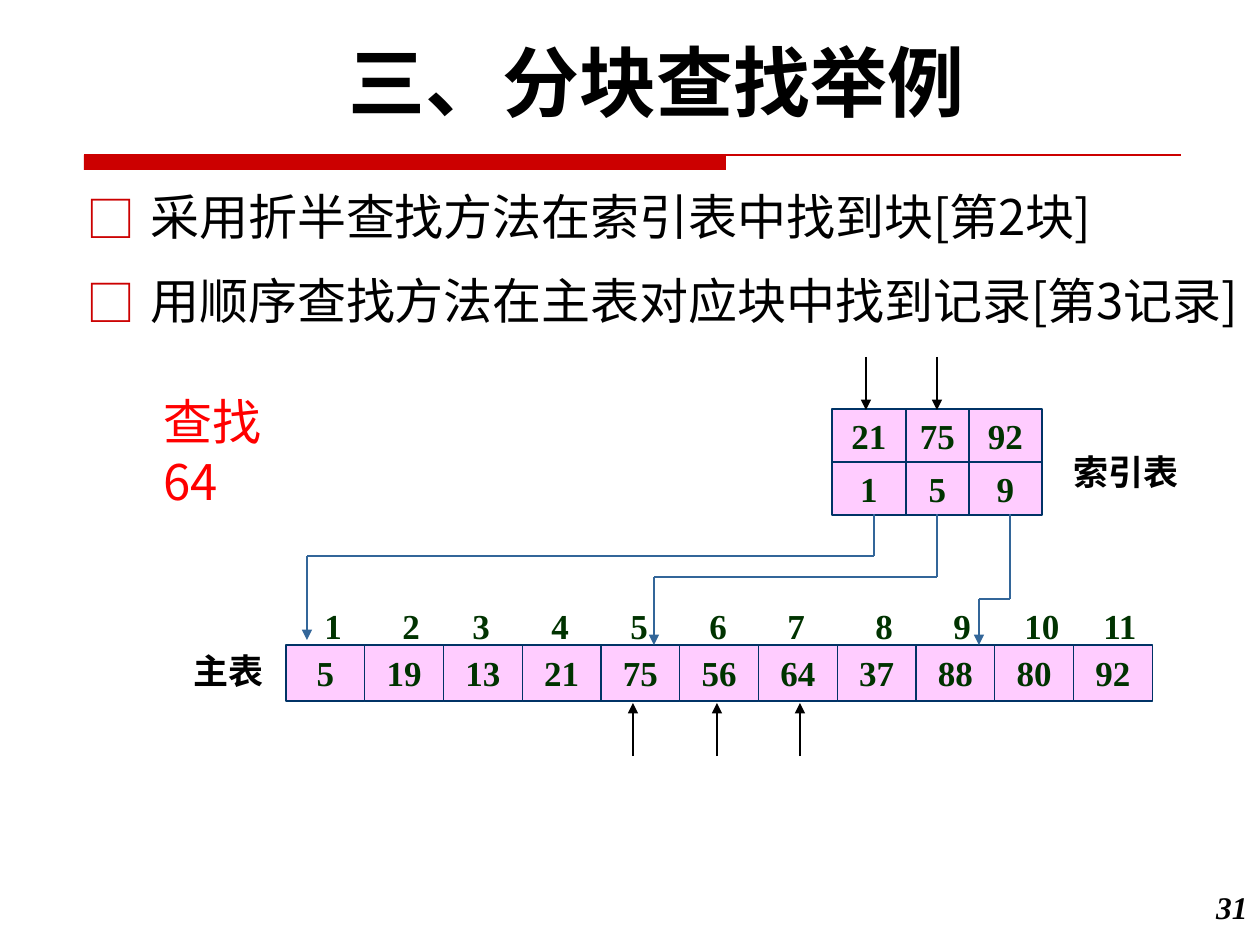
from lxml import etree
from pptx import Presentation
from pptx.dml.color import RGBColor
from pptx.enum.shapes import MSO_CONNECTOR, MSO_SHAPE
from pptx.enum.text import MSO_ANCHOR, PP_ALIGN
from pptx.oxml.ns import qn
from pptx.util import Inches, Pt

RECT = MSO_SHAPE.RECTANGLE
LINE = MSO_CONNECTOR.STRAIGHT
LEFT, MID, RIGHT = PP_ALIGN.LEFT, PP_ALIGN.CENTER, PP_ALIGN.RIGHT
PX = 914400 / 126
TIMES, NOTO = "Times New Roman", "Noto Sans CJK SC"
RED, GREEN, BLUE = "CC0000", "003300", "336699"

prs = Presentation()
prs.slide_width, prs.slide_height = Inches(10), Inches(7.5)
slide = prs.slides.add_slide(prs.slide_layouts[6])
shapes = slide.shapes


def rgb(code):
    return RGBColor.from_string(code)


def px(*nums):
    return [round(n * PX) for n in nums]


# Thick and thin title rule
bar = shapes.add_shape(RECT, *px(84, 155, 642, 15))
bar.shadow.inherit = False
bar.fill.solid()
bar.fill.fore_color.rgb = rgb(RED)
bar.line.fill.background()

# Text: box, wording, size, font, colour, bold, alignment, Chinese or not
texts = [
    ((74, 20, 1166, 106), "三、分块查找举例", 44, "Roboto", "000000", True, MID, True),
    ((74, 175, 1207, 557),
     "采用折半查找方法在索引表中找到块[第2块]\n用顺序查找方法在主表对应块中找到记录[第3记录]",
     28, NOTO, "000000", False, LEFT, True),
    ((151, 380, 175, 72), "查找64", 28, NOTO, "FF0000", False, LEFT, True),
    ((181, 640, 105, 54), "主表", 20, TIMES, "000000", True, LEFT, True),
    ((1051, 441, 150, 54), "索引表", 20, TIMES, "000000", True, MID, True),
    ((312, 598, 882, 54), "\t".join(str(n) for n in range(1, 12)),
     20, TIMES, GREEN, True, LEFT, False),
    ((1176, 882, 84, 63), "31", 18, TIMES, "000000", True, RIGHT, False),
]
frames = []
for area, words, size, face, color, bold, align, han in texts:
    frame = shapes.add_textbox(*px(*area)).text_frame
    frame.word_wrap = True
    frame.text = words
    if han:
        frame.margin_top = Inches(0.05) + Pt(size / 10)
    for para in frame.paragraphs:
        para.alignment = align
        if han:
            para.line_spacing = Pt(round(size * 1.2))
        for run in para.runs:
            run.font.size, run.font.name, run.font.bold = Pt(size), face, bold
            run.font.color.rgb = rgb(color)
            if han:
                etree.SubElement(run._r.rPr, qn("a:ea"), typeface=NOTO)
    frames.append(frame)
frames[4].margin_left = frames[4].margin_right = 0
frames[6].paragraphs[0].runs[0].font.italic = True

# Square bullets
frames[1].paragraphs[1].space_before = Pt(14)
for para in frames[1].paragraphs:
    props = para._p.get_or_add_pPr()
    indent = px(64)[0]
    props.set("marL", str(indent))
    props.set("indent", str(-indent))
    tint = etree.SubElement(props, qn("a:buClr"))
    etree.SubElement(tint, qn("a:srgbClr"), val=RED)
    etree.SubElement(props, qn("a:buFont"), typeface=NOTO)
    etree.SubElement(props, qn("a:buChar"), char="□")

# Tab stops for the position numbers
tabs = etree.SubElement(frames[5].paragraphs[0]._p.get_or_add_pPr(), qn("a:tabLst"))
for stop in px(78, 148, 227, 306, 385, 463, 551, 629, 700, 779):
    etree.SubElement(tabs, qn("a:tab"), pos=str(stop), algn="l")

# Cells of the main table and the index table
cells = [(286 + 78.75 * i, 645, 78.75, 56, key)
         for i, key in enumerate([5, 19, 13, 21, 75, 56, 64, 37, 88, 80, 92])]
for x, wide, *pair in [(832, 74, 21, 1), (906, 63, 75, 5), (969, 73, 92, 9)]:
    cells += [(x, 409 + 53 * row, wide, 53, key) for row, key in enumerate(pair)]
for *area, key in cells:
    cell = shapes.add_shape(RECT, *px(*area))
    cell.shadow.inherit = False
    cell.fill.solid()
    cell.fill.fore_color.rgb = rgb("FFCCFF")
    cell.line.color.rgb = rgb("003366")
    cell.line.width = Pt(0.75)
    frame = cell.text_frame
    frame.word_wrap = False
    frame.vertical_anchor = MSO_ANCHOR.MIDDLE
    frame.text = str(key)
    para = frame.paragraphs[0]
    para.alignment = MID
    font = para.runs[0].font
    font.size, font.name, font.bold = Pt(20), TIMES, True
    font.color.rgb = rgb(GREEN)

# Lines: ends, colour, width, arrowhead
lines = [((84, 155, 1181, 155), RED, 0.75, False)]
for start, turn, end, tip in [(874, 556, 307, 640), (937, 577, 654, 645), (1010, 599, 979, 645)]:
    lines += [((start, 514, start, turn), BLUE, 1.5, False),
              ((start, turn, end, turn), BLUE, 1.5, False),
              ((end, turn, end, tip), BLUE, 1.5, True)]
lines += [((x, 357, x, 410), "000000", 0.75, True) for x in (866, 937)]
lines += [((x, 756, x, 703), "000000", 0.75, True) for x in (633, 717, 800)]
for ends, color, width, arrow in lines:
    link = shapes.add_connector(LINE, *px(*ends))
    link.line.color.rgb = rgb(color)
    link.line.width = Pt(width)
    if arrow:
        etree.SubElement(link.line._get_or_add_ln(), qn("a:tailEnd"), type="triangle")
    etree.SubElement(link._element.spPr, qn("a:effectLst"))

prs.save("out.pptx")
